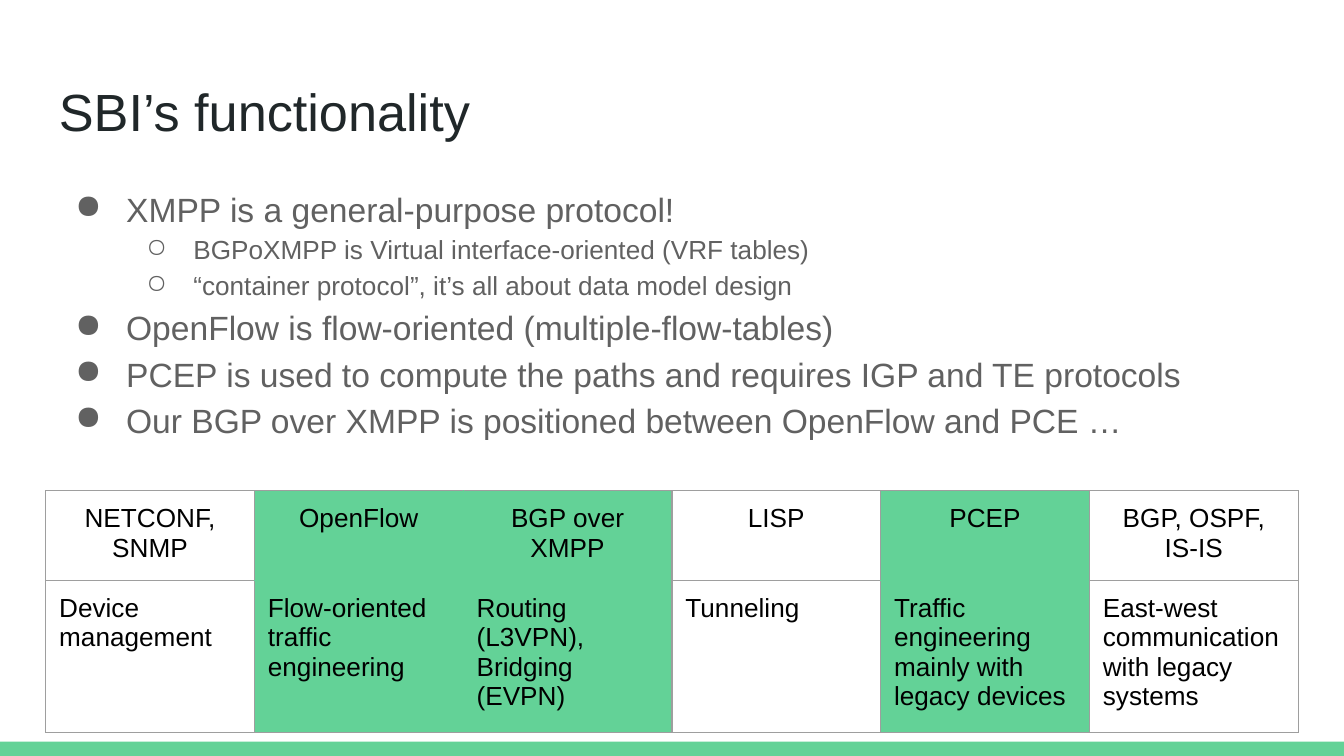
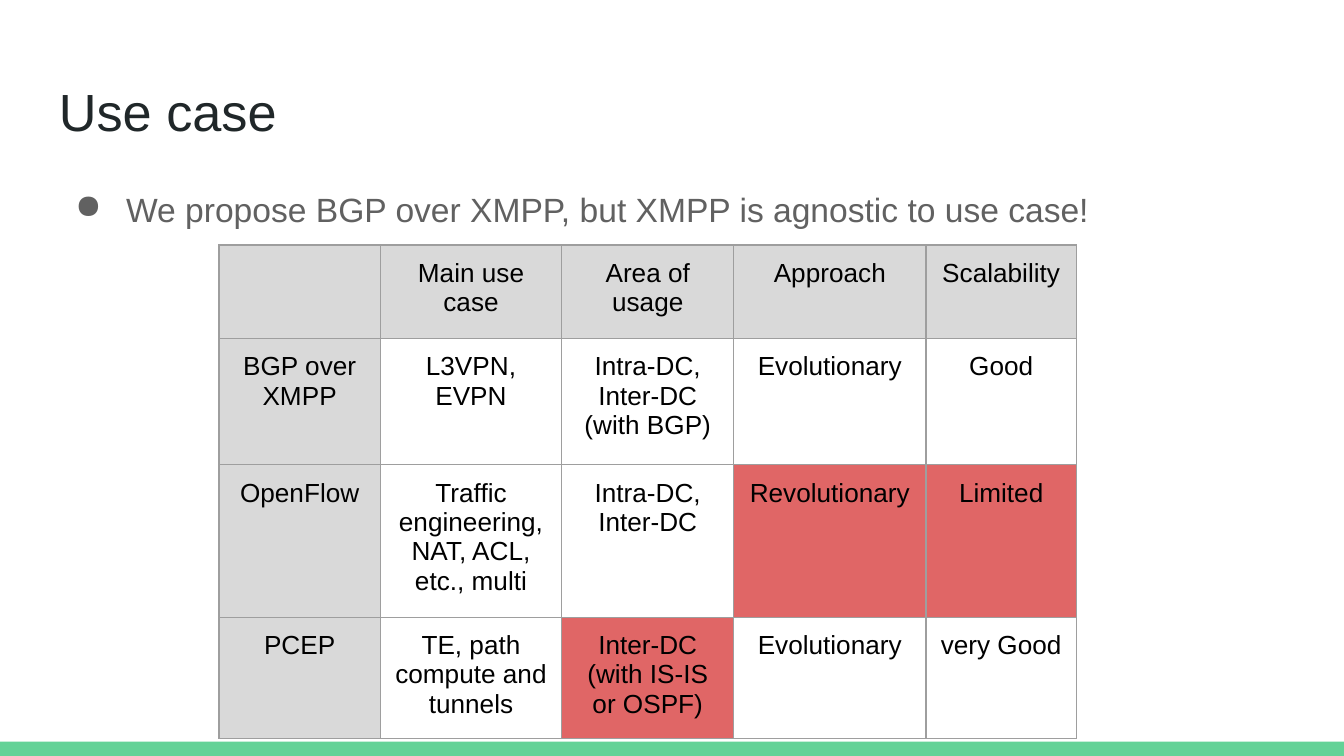
from dataclasses import dataclass

from lxml import etree
from pptx import Presentation
from pptx.dml.color import RGBColor
from pptx.enum.shapes import MSO_SHAPE
from pptx.enum.text import MSO_ANCHOR, PP_ALIGN
from pptx.oxml.ns import qn
from pptx.util import Inches, Pt

LEFT, CENTER = PP_ALIGN.LEFT, PP_ALIGN.CENTER
TOP = MSO_ANCHOR.TOP
RECTANGLE = MSO_SHAPE.RECTANGLE
GRID = 100
MARGIN, CONTENT = 3.4, 93.2
SIDES = {"a:lnL": (0, -1), "a:lnR": (0, 1), "a:lnT": (-1, 0), "a:lnB": (1, 0)}


@dataclass(frozen=True)
class Theme:
    """Colours, font and type sizes of the deck."""
    accent: str = "63D297"
    title: str = "202729"
    body: str = "616161"
    cell: str = "000000"
    border: str = "9E9E9E"
    header: str = "D9D9D9"
    warning: str = "E06666"
    font: str = "Arial"
    title_size: int = 28
    body_size: int = 18
    small_size: int = 14
    inset: float = 0.1
    border_width: float = 0.75


def write(p, text, *, font, size, color, align=LEFT, spacing=None):
    """Write one formatted run into a paragraph."""
    p.alignment = align
    if spacing:
        p.line_spacing = spacing
    r = p.add_run()
    r.text = text
    r.font.name, r.font.size = font, Pt(size)
    r.font.color.rgb = RGBColor.from_string(color)


def paragraphs(tf, count):
    """Return count paragraphs, starting with the one already there."""
    return [tf.paragraphs[0]] + [tf.add_paragraph() for _ in range(count - 1)]


def child(parent, tag, **attrs):
    """Append an XML element with attributes."""
    el = etree.SubElement(parent, qn(tag))
    for name, value in attrs.items():
        el.set(name, str(value))
    return el


class Deck:
    """Builds slides on a 100 by 100 grid in one style."""

    def __init__(self, theme):
        """Start an empty widescreen presentation."""
        self.theme = theme
        self.prs = Presentation()
        self.prs.slide_width, self.prs.slide_height = Inches(10), Inches(5.625)
        self.s = None

    def x(self, cols):
        """Convert grid columns to a length."""
        return round(self.prs.slide_width * cols / GRID)

    def y(self, rows):
        """Convert grid rows to a length."""
        return round(self.prs.slide_height * rows / GRID)

    def box(self, left, top, width, height):
        """Convert a grid rectangle to lengths."""
        return self.x(left), self.y(top), self.x(width), self.y(height)

    def slide(self, title):
        """Add a slide with its footer band and title."""
        t = self.theme
        self.s = self.prs.slides.add_slide(self.prs.slide_layouts[6])
        self.band()
        tf = self.text_frame(MARGIN, 8.7, CONTENT, 11.2)
        write(tf.paragraphs[0], title, font=t.font, size=t.title_size, color=t.title)

    def band(self):
        """Draw the band along the bottom edge."""
        sp = self.s.shapes.add_shape(RECTANGLE, *self.box(0, 98.1, GRID, 1.9))
        sp.shadow.inherit = False
        sp.fill.solid()
        sp.fill.fore_color.rgb = RGBColor.from_string(self.theme.accent)
        sp.line.fill.background()

    def text_frame(self, *place):
        """Add a wrapping text box and return its frame."""
        tf = self.s.shapes.add_textbox(*self.box(*place)).text_frame
        tf.word_wrap, tf.vertical_anchor = True, TOP
        inset = Inches(self.theme.inset)
        tf.margin_left = tf.margin_right = tf.margin_top = tf.margin_bottom = inset
        return tf

    def bullets(self, items, height):
        """Add a list of (level, text) bullets."""
        t = self.theme
        styles = [("●", 0.38, t.body_size), ("○", 0.35, t.small_size)]
        tf = self.text_frame(MARGIN, 22.4, CONTENT, height)
        for p, (level, text) in zip(paragraphs(tf, len(items)), items):
            mark, hang, size = styles[level]
            p.level = level
            write(p, text, font=t.font, size=size, color=t.body, spacing=1.15)
            pr = p._p.get_or_add_pPr()
            pr.set("marL", str(Inches(0.5 * (level + 1))))
            pr.set("indent", str(-Inches(hang)))
            child(child(pr, "a:buClr"), "a:srgbClr", val=t.body)
            child(pr, "a:buChar", char=mark)

    def table(self, left, top, widths, heights, rows, fills, body_align=CENTER):
        """Add a bordered table; fills maps (row, column) to a colour."""
        place = self.box(left, top, sum(widths), sum(heights))
        table = self.s.shapes.add_table(len(rows), len(widths), *place).table
        table.first_row = table.horz_banding = False
        for column, width in zip(table.columns, widths):
            column.width = self.x(width)
        for i, (row, height) in enumerate(zip(rows, heights)):
            table.rows[i].height = self.y(height)
            for j, text in enumerate(row):
                align = body_align if i else CENTER
                self.cell(table.cell(i, j), text, (i, j), fills, align)

    def cell(self, cell, text, spot, fills, align):
        """Fill, border and write one table cell."""
        t = self.theme
        inset = Inches(t.inset)
        cell.margin_left = cell.margin_right = inset
        cell.margin_top = cell.margin_bottom = inset
        self.borders(cell, spot, fills)
        if spot in fills:
            cell.fill.solid()
            cell.fill.fore_color.rgb = RGBColor.from_string(fills[spot])
        else:
            cell.fill.background()
        if text:
            lines = text.split("\n")
            for p, line in zip(paragraphs(cell.text_frame, len(lines)), lines):
                write(p, line, font=t.font, size=t.small_size, color=t.cell, align=align)

    def borders(self, cell, spot, fills):
        """Draw cell borders, blending those between accent cells."""
        t = self.theme
        pr = cell._tc.get_or_add_tcPr()
        for tag, (down, right) in SIDES.items():
            pair = {fills.get(spot), fills.get((spot[0] + down, spot[1] + right))}
            color = t.accent if pair == {t.accent} else t.border
            ln = child(pr, tag, w=Pt(t.border_width))
            child(child(ln, "a:solidFill"), "a:srgbClr", val=color)


def functionality(deck):
    """Build the slide comparing southbound interfaces."""
    deck.slide("SBI’s functionality")
    deck.bullets([
        (0, "XMPP is a general-purpose protocol!"),
        (1, "BGPoXMPP is Virtual interface-oriented (VRF tables)"),
        (1, "“container protocol”, it’s all about data model design"),
        (0, "OpenFlow is flow-oriented (multiple-flow-tables)"),
        (0, "PCEP is used to compute the paths and requires IGP and TE protocols"),
        (0, "Our BGP over XMPP is positioned between OpenFlow and PCE …"),
    ], 40.5)
    rows = [
        ["NETCONF,\nSNMP", "OpenFlow", "BGP over XMPP", "LISP", "PCEP", "BGP, OSPF, IS-IS"],
        ["Device management", "Flow-oriented traffic engineering",
         "Routing (L3VPN), Bridging (EVPN)", "Tunneling",
         "Traffic engineering mainly with legacy devices",
         "East-west communication with legacy systems"],
    ]
    fills = {(i, j): deck.theme.accent for i in range(2) for j in (1, 2, 4)}
    deck.table(MARGIN, 64.9, [CONTENT / 6] * 6, [10.3, 17.4], rows, fills, LEFT)


def use_case(deck):
    """Build the slide comparing use cases."""
    t = deck.theme
    deck.slide("Use case")
    deck.bullets([(0, "We propose BGP over XMPP, but XMPP is agnostic to use case!")], 20.4)
    rows = [
        ["", "Main use case", "Area of usage", "Approach", "Scalability"],
        ["BGP over\nXMPP", "L3VPN,\nEVPN", "Intra-DC,\nInter-DC (with BGP)",
         "Evolutionary", "Good"],
        ["OpenFlow", "Traffic engineering, NAT, ACL, etc., multi",
         "Intra-DC,\nInter-DC", "Revolutionary", "Limited"],
        ["PCEP", "TE, path compute and tunnels", "Inter-DC (with IS-IS or OSPF)",
         "Evolutionary", "very Good"],
    ]
    fills = {(0, j): t.header for j in range(5)}
    fills |= {(i, 0): t.header for i in range(4)}
    fills |= {spot: t.warning for spot in [(2, 3), (2, 4), (3, 2)]}
    deck.table(16.3, 32.4, [12, 13.5, 12.8, 14.3, 11.2], [12.4, 16.7, 16.7, 12.4],
               rows, fills)


def main():
    """Build and save the deck."""
    deck = Deck(Theme())
    functionality(deck)
    use_case(deck)
    deck.prs.save("out.pptx")


if __name__ == "__main__":
    main()
